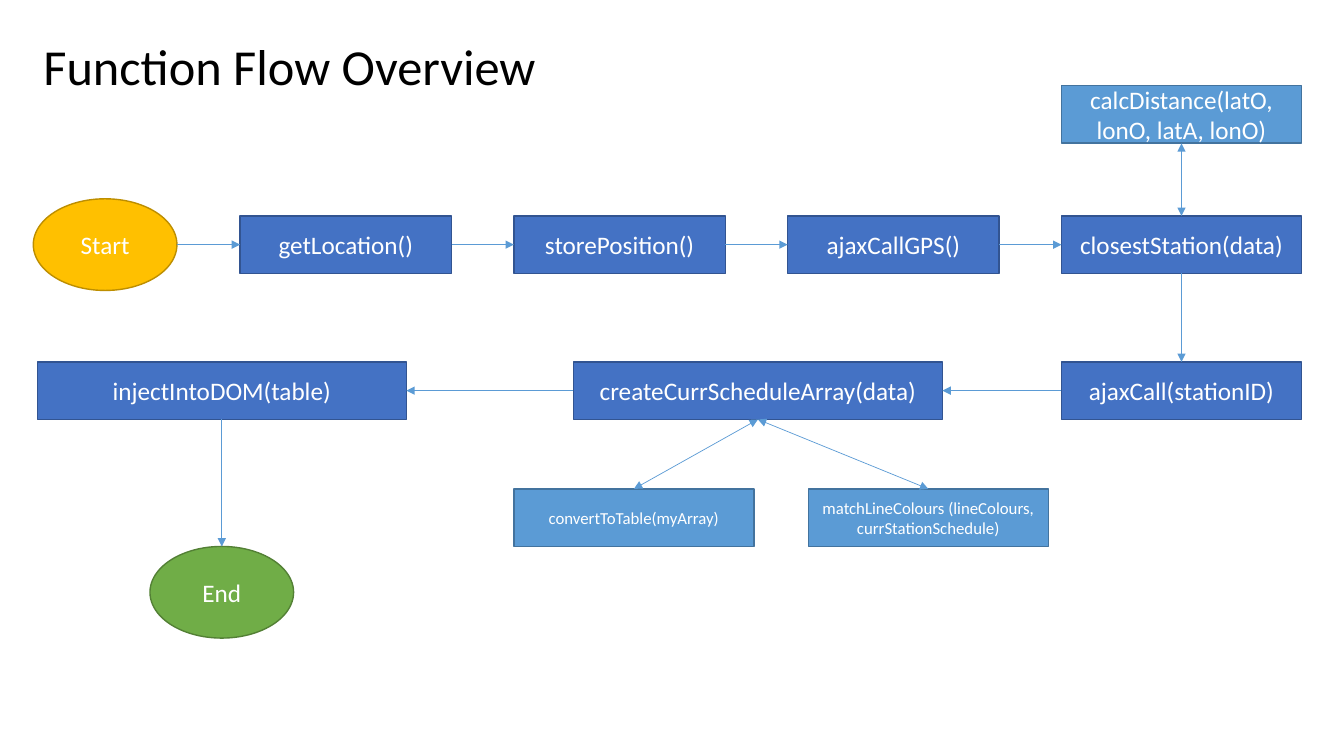
"""Build the function flow overview slide."""
from lxml import etree
from pptx import Presentation, util as u
from pptx.dml.color import RGBColor
from pptx.enum import shapes, text
from pptx.oxml.ns import qn

WHITE = RGBColor(0xFF, 0xFF, 0xFF)
BLACK = RGBColor(0x00, 0x00, 0x00)
BLUE = RGBColor(0x44, 0x72, 0xC4)
BLUE_EDGE = RGBColor(0x32, 0x54, 0x91)
SKY = RGBColor(0x5B, 0x9B, 0xD5)
SKY_EDGE = RGBColor(0x43, 0x73, 0x9E)
GOLD = RGBColor(0xFF, 0xC0, 0x00)
GOLD_EDGE = RGBColor(0xBD, 0x8E, 0x00)
GREEN = RGBColor(0x70, 0xAD, 0x47)
GREEN_EDGE = RGBColor(0x53, 0x80, 0x35)

TOP, LEFT, BOTTOM, RIGHT = range(4)
BOX_H = 1.45
STEP_W, SIDE_W, WIDE_W = 5.33, 6.05, 9.3
COLS = [round(6.05 + 6.9 * i, 2) for i in range(4)]
HELPER_Y, MAIN_Y, RETURN_Y, LOWER_Y, END_Y = 2.16, 5.44, 9.12, 12.32, 13.77


def write(tf, content, size=18, color=WHITE, align=text.PP_ALIGN.CENTER,
          anchor=text.MSO_ANCHOR.MIDDLE, wrap=True):
    """Put one formatted paragraph into a text frame."""
    tf.word_wrap = wrap
    tf.vertical_anchor = anchor
    p = tf.paragraphs[0]
    p.alignment = align
    r = p.add_run()
    r.text = content
    r.font.name = "Calibri"
    r.font.size = u.Pt(size)
    r.font.color.rgb = color


def side_point(sp, side):
    """Return the middle of one side of a shape."""
    mid_x, mid_y = sp.left + sp.width // 2, sp.top + sp.height // 2
    return {TOP: (mid_x, sp.top), LEFT: (sp.left, mid_y),
            BOTTOM: (mid_x, sp.top + sp.height),
            RIGHT: (sp.left + sp.width, mid_y)}[side]


class FlowChart:
    """Hold the style and the slide the flow chart is drawn on."""

    def __init__(self, s):
        """Keep the slide and the line widths."""
        self.s = s
        self.edge_width = u.Pt(1)
        self.arrow_width = u.Pt(0.5)

    def title(self, content):
        """Place and format the title placeholder."""
        sp = self.s.shapes.title
        sp.left, sp.top = u.Cm(0.84), u.Cm(0.76)
        sp.width, sp.height = u.Cm(13.03), u.Cm(1.8)
        write(sp.text_frame, content, size=36, color=BLACK, wrap=False,
              align=text.PP_ALIGN.LEFT, anchor=text.MSO_ANCHOR.TOP)
        sp.text_frame.auto_size = text.MSO_AUTO_SIZE.SHAPE_TO_FIT_TEXT

    def node(self, content, x, y, w, h=BOX_H, fill=BLUE, edge=BLUE_EDGE,
             kind=shapes.MSO_SHAPE.RECTANGLE, size=18):
        """Draw a labelled shape."""
        sp = self.s.shapes.add_shape(kind, u.Cm(x), u.Cm(y), u.Cm(w), u.Cm(h))
        sp.shadow.inherit = False
        sp.fill.solid()
        sp.fill.fore_color.rgb = fill
        sp.line.color.rgb = edge
        sp.line.width = self.edge_width
        write(sp.text_frame, content, size=size)
        return sp

    def helper(self, content, x, y, size=18):
        """Draw the box of a helper function."""
        return self.node(content, x, y, SIDE_W, fill=SKY, edge=SKY_EDGE, size=size)

    def terminal(self, content, x, y, fill, edge):
        """Draw a start or end ellipse."""
        return self.node(content, x, y, 3.62, 2.31, fill, edge,
                         shapes.MSO_SHAPE.OVAL)

    def arrow(self, a, a_side, b, b_side, both=False):
        """Draw an arrow between the sides of two shapes."""
        c = self.s.shapes.add_connector(
            shapes.MSO_CONNECTOR.STRAIGHT,
            *side_point(a, a_side), *side_point(b, b_side))
        if a.auto_shape_type == shapes.MSO_SHAPE.RECTANGLE:
            c.begin_connect(a, a_side)
        c.end_connect(b, b_side)
        c.line.color.rgb = SKY
        c.line.width = self.arrow_width
        ln = c.line._get_or_add_ln()
        for tag in ("a:headEnd", "a:tailEnd") if both else ("a:tailEnd",):
            etree.SubElement(ln, qn(tag), type="triangle")
        etree.SubElement(c._element.spPr, qn("a:effectLst"))


def main():
    """Build and save the slide."""
    prs = Presentation()
    prs.slide_width, prs.slide_height = u.Cm(33.87), u.Cm(19.05)
    chart = FlowChart(prs.slides.add_slide(prs.slide_layouts[5]))
    chart.title("Function Flow Overview")

    start = chart.terminal("Start", 0.84, 5.01, GOLD, GOLD_EDGE)
    names = ("getLocation()", "storePosition()", "ajaxCallGPS()")
    steps = [chart.node(name, x, MAIN_Y, STEP_W) for name, x in zip(names, COLS)]
    closest = chart.node("closestStation(data)", COLS[3], MAIN_Y, SIDE_W)
    distance = chart.helper("calcDistance(latO, lonO, latA, lonO)",
                            COLS[3], HELPER_Y)
    ajax = chart.node("ajaxCall(stationID)", COLS[3], RETURN_Y, SIDE_W)
    schedule = chart.node("createCurrScheduleArray(data)", 14.45, RETURN_Y, WIDE_W)
    inject = chart.node("injectIntoDOM(table)", 0.94, RETURN_Y, WIDE_W)
    convert = chart.helper("convertToTable(myArray)", COLS[1], LOWER_Y, size=12)
    match = chart.helper("matchLineColours (lineColours, currStationSchedule)",
                         20.37, LOWER_Y, size=12)
    end = chart.terminal("End", 3.78, END_Y, GREEN, GREEN_EDGE)

    row = [start, *steps, closest]
    for a, b in zip(row, row[1:]):
        chart.arrow(a, RIGHT, b, LEFT)
    for a, b in ((ajax, schedule), (schedule, inject)):
        chart.arrow(a, LEFT, b, RIGHT)
    for a, b in ((closest, ajax), (inject, end)):
        chart.arrow(a, BOTTOM, b, TOP)
    for a, b in ((distance, closest), (schedule, convert), (schedule, match)):
        chart.arrow(a, BOTTOM, b, TOP, both=True)

    prs.save("out.pptx")


if __name__ == "__main__":
    main()
